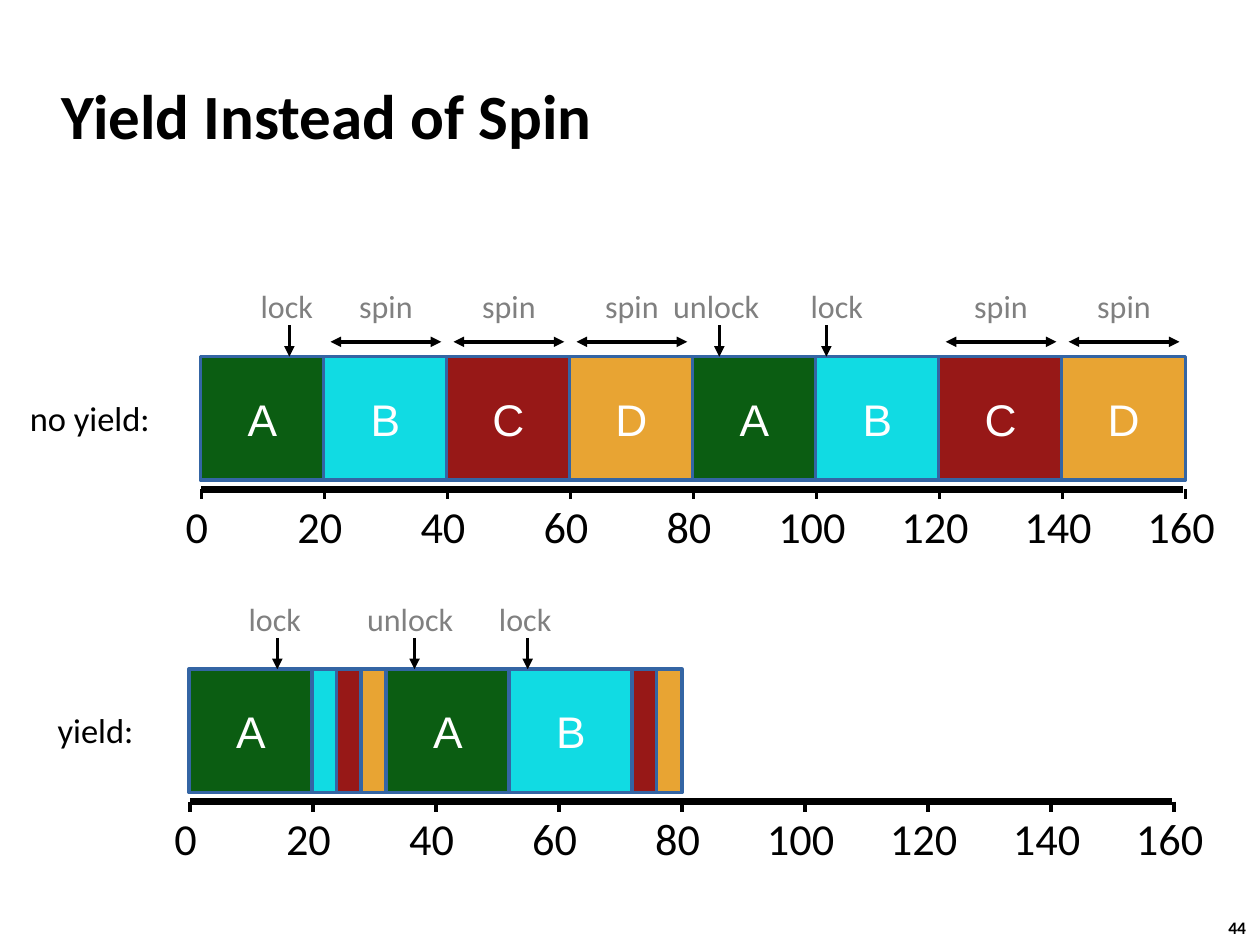
import pptx
import pptx.util
import pptx.dml.color
import pptx.enum.shapes
import pptx.enum.text
import pptx.oxml.ns
from lxml import etree

Cm, Pt = pptx.util.Cm, pptx.util.Pt
RGBColor = pptx.dml.color.RGBColor
ALIGN = pptx.enum.text.PP_ALIGN
ANCHOR = pptx.enum.text.MSO_ANCHOR
qn = pptx.oxml.ns.qn

BLACK = RGBColor(0x00, 0x00, 0x00)
WHITE = RGBColor(0xFF, 0xFF, 0xFF)
GRAY = RGBColor(0x80, 0x80, 0x80)
BORDER = RGBColor(0x34, 0x65, 0xA4)
THREAD_COLORS = {
    "A": RGBColor(0x0B, 0x5D, 0x12),
    "B": RGBColor(0x11, 0xDB, 0xE3),
    "C": RGBColor(0x97, 0x18, 0x17),
    "D": RGBColor(0xE8, 0xA4, 0x33),
}

# Content: slices are (thread, duration); events are (label, arrow time, label time)
TITLE = "Yield Instead of Spin"
PAGE_NUMBER = "44"
TIMELINES = [
    {
        "name": "no yield:", "name_left": 0.47, "name_width": 2.65,
        "left": 4.06, "top": 7.19,
        "slices": [(thread, 20) for thread in "ABCDABCD"],
        "spins": [20, 40, 60, 120, 140],
        "events": [("lock", 14.3, 13.9), ("unlock", 84.2, 83.7), ("lock", 101.6, 103.3)],
    },
    {
        "name": "yield:", "name_left": 1.04, "name_width": 1.75,
        "left": 3.83, "top": 13.49,
        "slices": [("A", 20), ("B", 4), ("C", 4), ("D", 4),
                   ("A", 20), ("B", 20), ("C", 4), ("D", 4)],
        "spins": [],
        "events": [("lock", 14.2, 13.8), ("unlock", 36.5, 35.8), ("lock", 54.9, 54.5)],
    },
]

# Layout, in centimetres
UNIT = 2.48 / 20
AXIS_END, TICK_STEP = 160, 20
BOX_HEIGHT = 2.49
AXIS_DROP = 2.67
TICK_LENGTH = 0.2


def style_text(frame, size, color, font="Calibri", bold=False, align=ALIGN.CENTER, inset=0):
    frame.margin_left = frame.margin_right = Cm(inset)
    frame.margin_top = frame.margin_bottom = Cm(inset)
    frame.vertical_anchor = ANCHOR.MIDDLE
    para = frame.paragraphs[0]
    para.alignment = align
    for span in para.runs:
        span.font.size = Pt(size)
        span.font.name = font
        span.font.bold = bold
        span.font.color.rgb = color


def add_label(page, text, left, top, width, height, size, color, **style):
    box = page.shapes.add_textbox(Cm(left), Cm(top), Cm(width), Cm(height))
    box.text_frame.text = text
    box.text_frame.word_wrap = False
    style_text(box.text_frame, size, color, **style)


def add_note(page, text, center, top):
    """Gray caption in the row above the boxes."""
    add_label(page, text, center - 0.98, top - 1.52, 1.96, 0.99, 18.3, GRAY, inset=0.1)


def add_line(page, x1, y1, x2, y2, width=2, heads=()):
    line = page.shapes.add_connector(
        pptx.enum.shapes.MSO_CONNECTOR.STRAIGHT, Cm(x1), Cm(y1), Cm(x2), Cm(y2))
    line.line.color.rgb = BLACK
    line.line.width = Pt(width)
    for head in heads:
        etree.SubElement(line.line._get_or_add_ln(), qn("a:" + head), type="triangle")
    etree.SubElement(line._element.spPr, qn("a:effectLst"))


def add_slice(page, thread, duration, left, top):
    box = page.shapes.add_shape(
        pptx.enum.shapes.MSO_SHAPE.RECTANGLE,
        Cm(left), Cm(top), Cm(duration * UNIT + 0.02), Cm(BOX_HEIGHT))
    box.shadow.inherit = False
    box.fill.solid()
    box.fill.fore_color.rgb = THREAD_COLORS[thread]
    box.line.color.rgb = BORDER
    box.line.width = Pt(2)
    if duration >= TICK_STEP:
        box.text_frame.text = thread
        style_text(box.text_frame, 25.3, WHITE, font="Arial")


def add_timeline(page, timeline):
    left, top = timeline["left"], timeline["top"]

    def x_at(time):
        return left + time * UNIT

    # Spinning intervals, each named above its arrow
    for start in timeline["spins"]:
        add_line(page, x_at(start + 1), top - 0.3, x_at(start + 19), top - 0.3,
                 heads=("headEnd", "tailEnd"))
        add_note(page, "spin", x_at(start + 10), top)

    # Time slices
    start = 0
    for thread, duration in timeline["slices"]:
        add_slice(page, thread, duration, x_at(start) - 0.02, top)
        start += duration

    # Axis with ticks
    axis = top + AXIS_DROP
    add_line(page, left, axis, x_at(AXIS_END) - 0.05, axis, width=4)
    for time in range(0, AXIS_END + 1, TICK_STEP):
        add_line(page, x_at(time), axis, x_at(time), axis + TICK_LENGTH)
        add_label(page, str(time), x_at(time) - 0.88, axis + 0.1, 1.58, 1.27, 25.3, BLACK,
                  inset=0.1)

    # Lock events
    for text, arrow_time, label_time in timeline["events"]:
        add_note(page, text, x_at(label_time), top)
        add_line(page, x_at(arrow_time), top - 0.63, x_at(arrow_time), top, heads=("tailEnd",))

    # Row name
    add_label(page, timeline["name"], timeline["name_left"], top + 0.71,
              timeline["name_width"], 1.04, 19.7, BLACK, align=ALIGN.RIGHT, inset=0.1)


def main():
    deck = pptx.Presentation()
    deck.slide_width, deck.slide_height = Cm(25.4), Cm(19.05)
    page = deck.slides.add_slide(deck.slide_layouts[5])

    # Title
    title = page.shapes.title
    title.left, title.top, title.width, title.height = Cm(0.99), Cm(1.24), Cm(21.08), Cm(2.11)
    title.text_frame.text = TITLE
    style_text(title.text_frame, 36, BLACK, bold=True, align=ALIGN.LEFT, inset=0.25)
    properties = title.text_frame.paragraphs[0]._p.get_or_add_pPr()
    properties.set("marL", str(Cm(0.33)))
    properties.set("indent", str(-Cm(0.33)))

    for timeline in TIMELINES:
        add_timeline(page, timeline)

    # Page number
    add_label(page, PAGE_NUMBER, 24.48, 18.36, 0.92, 0.69, 10, BLACK, bold=True, inset=0.13)

    deck.save("out.pptx")


if __name__ == "__main__":
    main()
